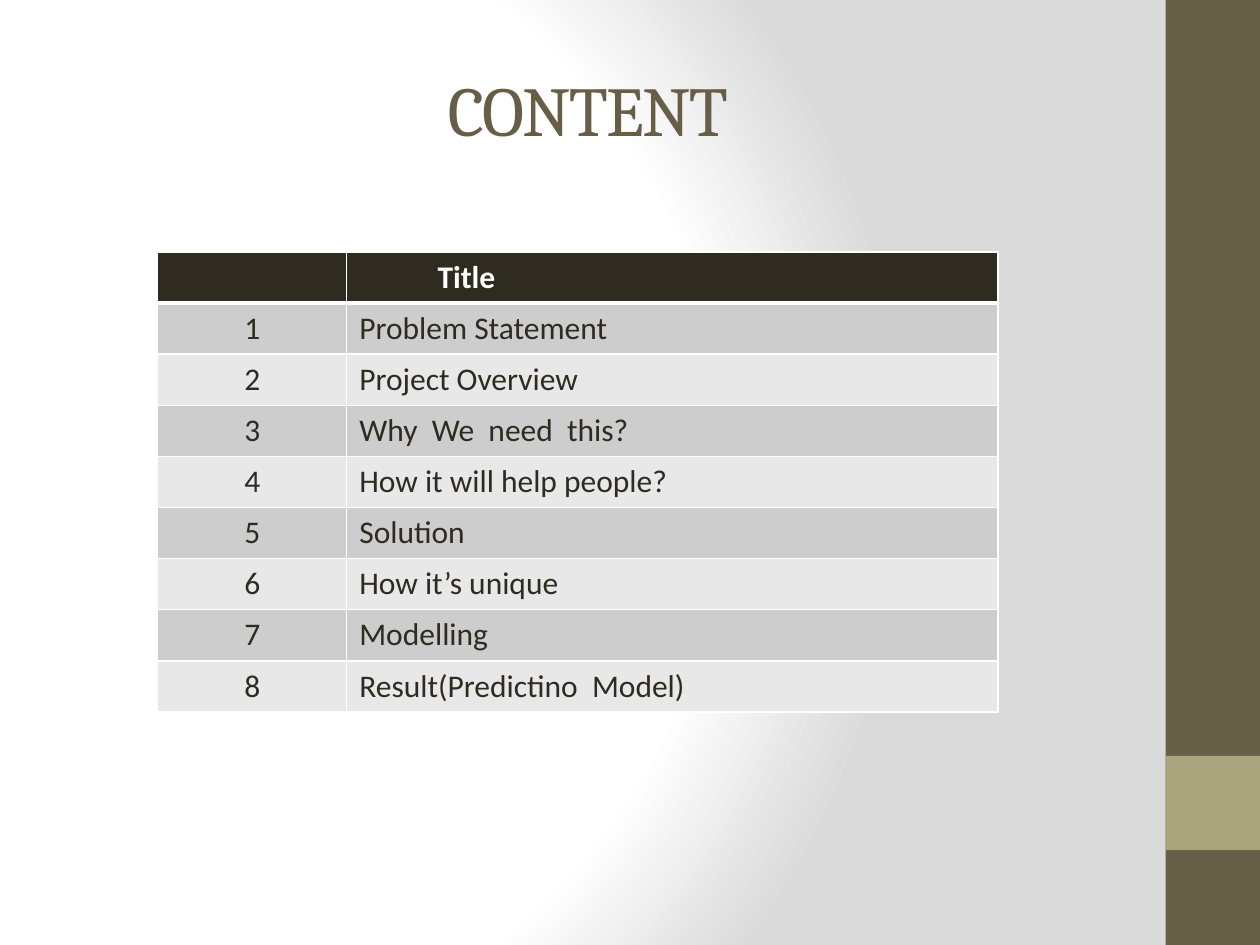
"""Build the contents slide with its agenda table and side bar."""
import dataclasses

import pptx
import pptx.dml.color
import pptx.enum.shapes
import pptx.enum.text
import pptx.oxml
import pptx.oxml.ns
import pptx.util

Cm = pptx.util.Cm
Pt = pptx.util.Pt
Align = pptx.enum.text.PP_ALIGN
Anchor = pptx.enum.text.MSO_ANCHOR

TOPICS = [
    "Problem Statement",
    "Project Overview",
    "Why  We  need  this?",
    "How it will help people?",
    "Solution",
    "How it’s unique",
    "Modelling",
    "Result(Predictino  Model)",
]


@dataclasses.dataclass(frozen=True)
class Theme:
    heading_font: str = "Cambria"
    body_font: str = "Calibri"
    heading_size: int = 40
    body_size: int = 18
    brown: str = "675E47"
    olive: str = "A9A57C"
    dark: str = "2F2B20"
    white: str = "FFFFFF"
    backdrop: str = "DADADA"
    bands: tuple = ("CDCDCD", "E8E8E8")


def rgb(code):
    return pptx.dml.color.RGBColor.from_string(code)


class SlideBuilder:
    def __init__(self, page, theme):
        self.page = page
        self.theme = theme

    def background(self):
        fill = self.page.background.fill
        fill.solid()
        solid = self.page._element.find(".//" + pptx.oxml.ns.qn("a:solidFill"))
        stops = [(0, self.theme.white), (75, self.theme.white), (100, self.theme.backdrop)]
        stop_xml = "".join(
            f'<a:gs pos="{place * 1000}"><a:srgbClr val="{color}"/></a:gs>'
            for place, color in stops
        )
        gradient = pptx.oxml.parse_xml(
            f'<a:gradFill {pptx.oxml.ns.nsdecls("a")} rotWithShape="1">'
            f'<a:gsLst>{stop_xml}</a:gsLst><a:path path="circle">'
            '<a:fillToRect l="20000" t="50000" r="100000" b="50000"/>'
            "</a:path></a:gradFill>"
        )
        solid.getparent().replace(solid, gradient)

    def bar(self, left, top, width, height, color):
        box = self.page.shapes.add_shape(
            pptx.enum.shapes.MSO_SHAPE.RECTANGLE, left, top, width, height
        )
        box.shadow.inherit = False
        box.fill.solid()
        box.fill.fore_color.rgb = rgb(color)
        box.line.fill.background()

    def style(self, para, font_name, size, color, bold=False):
        font = para.font
        font.name = font_name
        font.size = Pt(size)
        font.bold = bold
        font.color.rgb = rgb(color)

    def title(self, text, left, top, width, height):
        box = self.page.shapes.title
        box.left, box.top, box.width, box.height = left, top, width, height
        frame = box.text_frame
        frame.text = text
        frame.auto_size = pptx.enum.text.MSO_AUTO_SIZE.NONE
        frame.vertical_anchor = Anchor.BOTTOM
        para = frame.paragraphs[0]
        para.alignment = Align.CENTER
        self.style(para, self.theme.heading_font, self.theme.heading_size, self.theme.brown)
        para.runs[0].font._element.set("spc", "-100")

    def borders(self, cell, top=1, bottom=1):
        properties = cell._tc.get_or_add_tcPr()
        for side, width in (("L", 1), ("R", 1), ("T", top), ("B", bottom)):
            properties.append(pptx.oxml.parse_xml(
                f'<a:ln{side} {pptx.oxml.ns.nsdecls("a")} w="{Pt(width)}">'
                f'<a:solidFill><a:srgbClr val="{self.theme.white}"/></a:solidFill>'
                f"</a:ln{side}>"
            ))

    def cell(self, cell, text, fill, color, align, bold=False, top=1, bottom=1):
        self.borders(cell, top, bottom)
        cell.fill.solid()
        cell.fill.fore_color.rgb = rgb(fill)
        cell.text = text
        para = cell.text_frame.paragraphs[0]
        para.alignment = align
        self.style(para, self.theme.body_font, self.theme.body_size, color, bold)

    def agenda(self, topics, left, top, widths, row_height):
        rows = [("", "Title")] + [(str(n), topic) for n, topic in enumerate(topics, 1)]
        table = self.page.shapes.add_table(
            len(rows), len(widths), left, top, sum(widths), row_height * len(rows)
        ).table
        for column, width in zip(table.columns, widths):
            column.width = width
        for r, row in enumerate(rows):
            table.rows[r].height = row_height
            header = r == 0
            fill = self.theme.dark if header else self.theme.bands[(r - 1) % 2]
            color = self.theme.white if header else self.theme.dark
            for c, text in enumerate(row):
                self.cell(
                    table.cell(r, c), text, fill, color,
                    Align.LEFT if c else Align.CENTER, bold=header,
                    top=3 if r == 1 else 1, bottom=3 if header else 1,
                )
        table.cell(0, 1).margin_left = Cm(1.83)


def main():
    deck = pptx.Presentation()
    deck.slide_width, deck.slide_height = Cm(25.4), Cm(19.05)
    theme = Theme()
    builder = SlideBuilder(deck.slides.add_slide(deck.slide_layouts[5]), theme)
    builder.background()
    bar_left, bar_width = Cm(23.5), Cm(1.9)
    builder.bar(bar_left, 0, bar_width, deck.slide_height, theme.brown)
    builder.bar(bar_left, Cm(15.24), bar_width, bar_width, theme.olive)
    builder.title("CONTENT", Cm(1.27), Cm(0.43), Cm(21.16), Cm(2.74))
    builder.agenda(TOPICS, Cm(3.18), Cm(5.08), (Cm(3.81), Cm(13.13)), Cm(1.03))
    deck.save("out.pptx")


if __name__ == "__main__":
    main()
